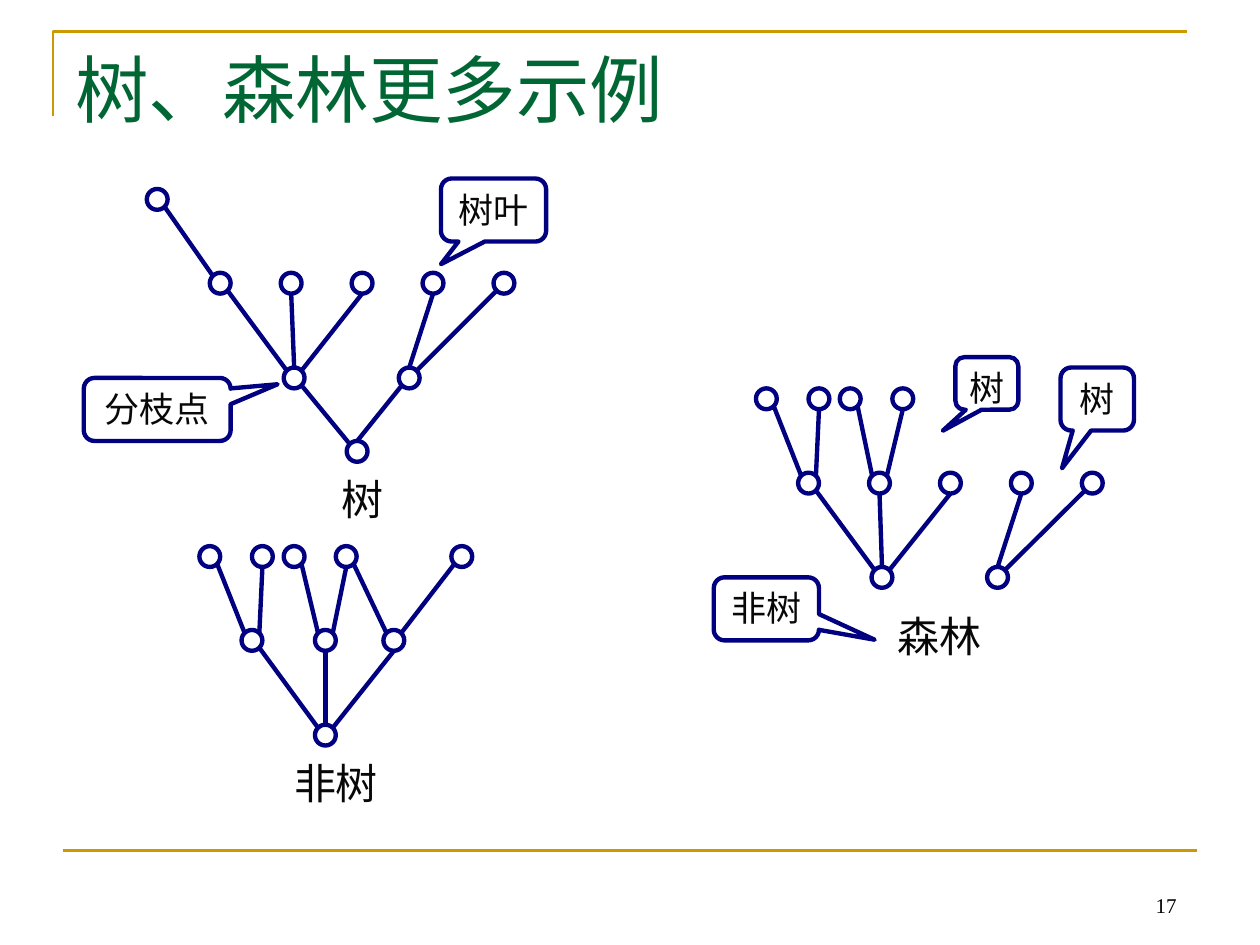
from dataclasses import dataclass
from math import cos, radians, sin

from lxml.etree import SubElement
from pptx import Presentation
from pptx.dml.color import RGBColor
from pptx.enum.shapes import MSO_CONNECTOR, MSO_SHAPE
from pptx.enum.text import MSO_ANCHOR, PP_ALIGN
from pptx.oxml.ns import qn
from pptx.util import Cm, Pt


@dataclass(frozen=True)
class Theme:
    """Colours, type sizes and line widths of the slide."""
    gold: str = "CC9900"
    navy: str = "000080"
    green: str = "006633"
    ink: str = "080808"
    black: str = "000000"
    serif: str = "Times New Roman"
    sans: str = "Arial"
    title_size: float = 42
    label_size: float = 24
    callout_size: float = 20
    number_size: float = 12
    frame_width: float = 1.5
    graph_width: float = 2.5


THEME = Theme()
NODE_SIZE = 0.42
SITE_ANGLES = {"n": -90, "ne": -45, "se": 45, "s": 90, "sw": 135, "nw": -135}


def write_text(shape, text, *, font, size, color, align=PP_ALIGN.LEFT,
               anchor=MSO_ANCHOR.TOP, wrap=True, inset=(0.25, 0.13)):
    """Write one formatted paragraph into a shape."""
    frame = shape.text_frame
    frame.word_wrap = wrap
    frame.vertical_anchor = anchor
    frame.margin_left = frame.margin_right = Cm(inset[0])
    frame.margin_top = frame.margin_bottom = Cm(inset[1])
    para = frame.paragraphs[0]
    para.alignment = align
    span = para.add_run()
    span.text = text
    span.font.name = font
    span.font.size = Pt(size)
    span.font.color.rgb = RGBColor.from_string(color)


def add_text_box(page, bounds, text, **text_format):
    """Add a text box with bounds in centimetres."""
    box = page.shapes.add_textbox(*map(Cm, bounds))
    write_text(box, text, **text_format)


def set_line(shape, color, width):
    """Give a shape or connector a solid line."""
    shape.line.color.rgb = RGBColor.from_string(color)
    shape.line.width = Pt(width)


def add_outline(shapes, kind, bounds):
    """Add an unfilled preset shape with a navy outline."""
    shape = shapes.add_shape(kind, *map(Cm, bounds))
    shape.shadow.inherit = False
    shape.fill.background()
    set_line(shape, THEME.navy, THEME.graph_width)
    return shape


def add_line(shapes, start, end, color, width):
    """Add a straight line without a shadow."""
    line = shapes.add_connector(MSO_CONNECTOR.STRAIGHT, *map(Cm, (*start, *end)))
    SubElement(line._element.spPr, qn("a:effectLst"))
    set_line(line, color, width)


def add_corner(page):
    """Draw the open corner rule around the title."""
    builder = page.shapes.build_freeform(Cm(1.07), Cm(2.34))
    builder.add_line_segments([(Cm(1.07), Cm(0.64)), (Cm(23.93), Cm(0.64))], close=False)
    corner = builder.convert_to_shape()
    corner.shadow.inherit = False
    corner.fill.background()
    set_line(corner, THEME.gold, THEME.frame_width)


def site_point(node, site):
    """Return the point on a node's rim in a compass direction."""
    angle = radians(SITE_ANGLES[site])
    radius = NODE_SIZE / 2
    return node[0] + radius * (1 + cos(angle)), node[1] + radius * (1 + sin(angle))


def add_graph(shapes, nodes, edges):
    """Draw nodes and the edges listed as 'child:site parent:site'."""
    for left, top in nodes.values():
        add_outline(shapes, MSO_SHAPE.FLOWCHART_CONNECTOR, (left, top, NODE_SIZE, NODE_SIZE))
    for edge in edges:
        ends = [end.split(":") for end in edge.split()]
        start, end = [site_point(nodes[name], site) for name, site in ends]
        add_line(shapes, start, end, THEME.navy, THEME.graph_width)


def add_label(shapes, bounds, text):
    """Add a graph caption in an invisible ellipse."""
    label = shapes.add_shape(MSO_SHAPE.OVAL, *map(Cm, bounds))
    label.shadow.inherit = False
    label.fill.background()
    label.line.fill.background()
    write_text(label, text, font=THEME.sans, size=THEME.label_size, color=THEME.ink,
               align=PP_ALIGN.CENTER, anchor=MSO_ANCHOR.MIDDLE, wrap=False, inset=(0.15, 0.13))


def add_callout(shapes, bounds, tip, text):
    """Add a rounded callout whose tip is relative to its centre."""
    callout = add_outline(shapes, MSO_SHAPE.ROUNDED_RECTANGULAR_CALLOUT, bounds)
    for index, value in enumerate((*tip, 0.17)):
        callout.adjustments[index] = value
    write_text(callout, text, font=THEME.sans, size=THEME.callout_size, color=THEME.ink,
               align=PP_ALIGN.CENTER, inset=(0.15, 0.13))


def level(prefix, top, lefts):
    """Name the nodes of one level from left to right."""
    return {f"{prefix}{index}": (left, top) for index, left in enumerate(lefts)}


def even_lefts(first, step=1.43, count=5):
    """Return evenly spaced left positions."""
    return [first + step * index for index in range(count)]


def add_tree(page):
    """Draw the tree with its leaf and branch callouts."""
    shapes = page.shapes.add_group_shape().shapes
    nodes = {
        **level("root", 8.89, [6.99]),
        **level("branch", 7.41, [5.72, 8.04]),
        **level("leaf", 5.5, even_lefts(4.23)),
        **level("top", 3.81, [2.96]),
    }
    add_graph(shapes, nodes, [
        "top0:se leaf0:nw", "leaf0:se branch0:nw", "leaf1:s branch0:n",
        "leaf2:s branch0:ne", "leaf3:s branch1:n", "leaf4:sw branch1:ne",
        "branch0:se root0:nw", "branch1:sw root0:n"])
    add_label(shapes, (6.56, 9.31, 1.48, 1.48), "树")
    add_callout(shapes, (8.89, 3.6, 2.12, 1.27), (-0.5, 0.86), "树叶")
    add_callout(shapes, (1.69, 7.62, 2.96, 1.27), (0.82, -0.4), "分枝点")


def add_non_tree(page):
    """Draw the graph that is not a tree."""
    shapes = page.shapes.add_group_shape().shapes
    nodes = {
        **level("root", 14.61, [6.35]),
        **level("branch", 12.7, [4.87, 6.35, 7.73]),
        **level("leaf", 11.01, [4.02, 5.08, 5.72, 6.77, 9.1]),
    }
    add_graph(shapes, nodes, [
        "leaf0:se branch0:nw", "leaf1:s branch0:ne", "leaf2:se branch1:nw",
        "leaf3:s branch1:ne", "leaf3:se branch2:nw", "leaf4:sw branch2:ne",
        "branch0:se root0:nw", "branch1:s root0:n", "branch2:s root0:ne"])
    add_label(shapes, (5.93, 15.03, 1.69, 1.48), "非树")


def add_forest(page):
    """Draw the forest of two trees with its callouts."""
    shapes = page.shapes.add_group_shape().shapes
    nodes = {
        **level("root", 11.43, [17.57, 19.9]),
        **level("branch", 9.53, even_lefts(16.09)),
        **level("leaf", 7.83, [15.24, 16.3, 16.93, 17.99]),
    }
    add_graph(shapes, nodes, [
        "leaf0:se branch0:nw", "leaf1:s branch0:ne", "leaf2:se branch1:nw",
        "leaf3:s branch1:ne", "branch0:se root0:nw", "branch1:s root0:n",
        "branch2:s root0:ne", "branch3:s root1:n", "branch4:sw root1:ne"])
    add_label(shapes, (18.2, 12.07, 1.48, 1.48), "森林")
    add_callout(shapes, (14.39, 11.64, 2.12, 1.27), (1.03, 0.49), "非树")
    add_callout(shapes, (21.38, 7.41, 1.48, 1.27), (-0.48, 1.1), "树")
    add_callout(shapes, (19.26, 7.2, 1.27, 1.06), (-0.7, 0.9), "树")


def main():
    """Build and save the slide."""
    deck = Presentation()
    deck.slide_width, deck.slide_height = Cm(25.4), Cm(19.05)
    page = deck.slides.add_slide(deck.slide_layouts[6])
    add_corner(page)
    add_line(page.shapes, (1.27, 17.15), (24.13, 17.15), THEME.gold, THEME.frame_width)
    add_text_box(page, (21.17, 17.36, 2.8, 1.27), "17", font=THEME.serif,
                 size=THEME.number_size, color=THEME.black,
                 align=PP_ALIGN.RIGHT, anchor=MSO_ANCHOR.BOTTOM)
    add_tree(page)
    add_non_tree(page)
    add_forest(page)
    add_text_box(page, (1.27, 0.76, 22.86, 3.18), "树、森林更多示例", font=THEME.serif,
                 size=THEME.title_size, color=THEME.green)
    deck.save("out.pptx")


if __name__ == "__main__":
    main()
